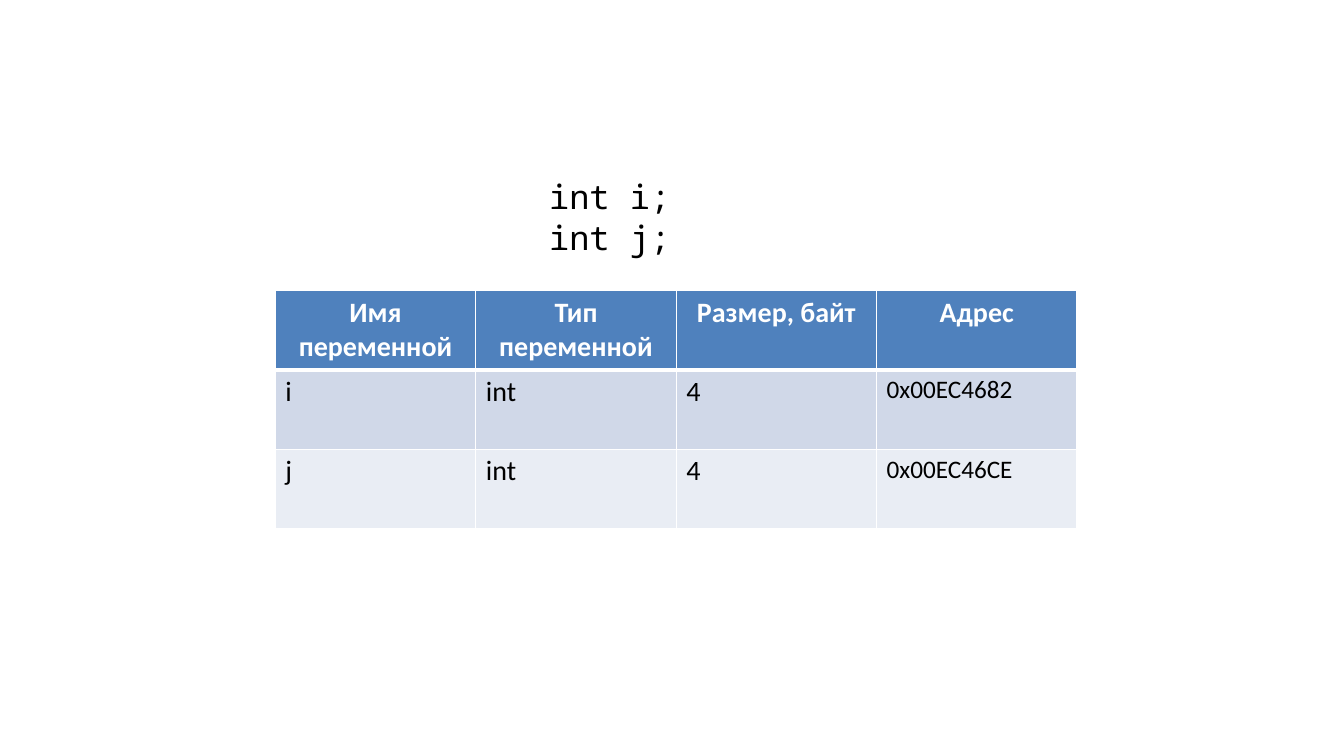
from dataclasses import dataclass

from lxml.etree import SubElement
from pptx import Presentation
from pptx.dml.color import RGBColor
from pptx.enum.text import PP_ALIGN
from pptx.oxml.ns import qn
from pptx.util import Pt

CODE_LINES = ["int i;", "int j;"]
HEADINGS = ["Имя переменной", "Тип переменной", "Размер, байт", "Адрес"]
VARIABLES = [
    ["i", "int", "4", "0x00EC4682"],
    ["j", "int", "4", "0x00EC46CE"],
]
COLUMN_WIDTH, ROW_HEIGHT = 143.15, 56.7
ADDRESS_COLUMN = 3
THIN, THICK = 1, 3


@dataclass
class RowStyle:
    fill: str
    color: str = "000000"
    bold: bool = False
    align: PP_ALIGN = PP_ALIGN.LEFT
    address_size: float = 18
    top: float = THIN
    bottom: float = THIN


ROW_STYLES = [
    RowStyle("4F81BD", "FFFFFF", True, PP_ALIGN.CENTER, 20, bottom=THICK),
    RowStyle("D0D8E8", top=THICK),
    RowStyle("E9EDF4"),
]


def rgb(value: str) -> RGBColor:
    return RGBColor.from_string(value)


def write(para, text: str, *, size: float, font: str = "Calibri",
          color: str = "000000", bold: bool = False,
          align: PP_ALIGN = PP_ALIGN.LEFT) -> None:
    para.alignment = align
    span = para.add_run()
    span.text = text
    span.font.name = font
    span.font.size = Pt(size)
    span.font.bold = bold
    span.font.color.rgb = rgb(color)


def set_border(cell, side: str, width: float) -> None:
    """Add a white edge; call this before the cell is filled."""
    line = SubElement(cell._tc.get_or_add_tcPr(), qn(f"a:ln{side}"), w=str(Pt(width)))
    fill = SubElement(line, qn("a:solidFill"))
    SubElement(fill, qn("a:srgbClr"), val="FFFFFF")


def add_variable_table(page) -> None:
    rows = [HEADINGS, *VARIABLES]
    table = page.shapes.add_table(
        len(rows), len(HEADINGS), Pt(196.7), Pt(207.5),
        Pt(COLUMN_WIDTH * len(HEADINGS)), Pt(ROW_HEIGHT * len(rows))).table
    for column in table.columns:
        column.width = Pt(COLUMN_WIDTH)
    for row, texts, style in zip(table.rows, rows, ROW_STYLES):
        row.height = Pt(ROW_HEIGHT)
        for index, (cell, text) in enumerate(zip(row.cells, texts)):
            set_border(cell, "L", THIN)
            set_border(cell, "R", THIN)
            set_border(cell, "T", style.top)
            set_border(cell, "B", style.bottom)
            cell.fill.solid()
            cell.fill.fore_color.rgb = rgb(style.fill)
            size = style.address_size if index == ADDRESS_COLUMN else 20
            write(cell.text_frame.paragraphs[0], text, size=size,
                  color=style.color, bold=style.bold, align=style.align)


def add_code(page) -> None:
    box = page.shapes.add_textbox(Pt(385.2), Pt(122.4), Pt(293), Pt(65.5))
    frame = box.text_frame
    frame.word_wrap = True
    for index, text in enumerate(CODE_LINES):
        para = frame.add_paragraph() if index else frame.paragraphs[0]
        write(para, text, size=24, font="Noto Sans Mono")


def main() -> None:
    deck = Presentation()
    deck.slide_width, deck.slide_height = Pt(960), Pt(540)
    page = deck.slides.add_slide(deck.slide_layouts[6])
    add_variable_table(page)
    add_code(page)
    deck.save("out.pptx")


if __name__ == "__main__":
    main()
